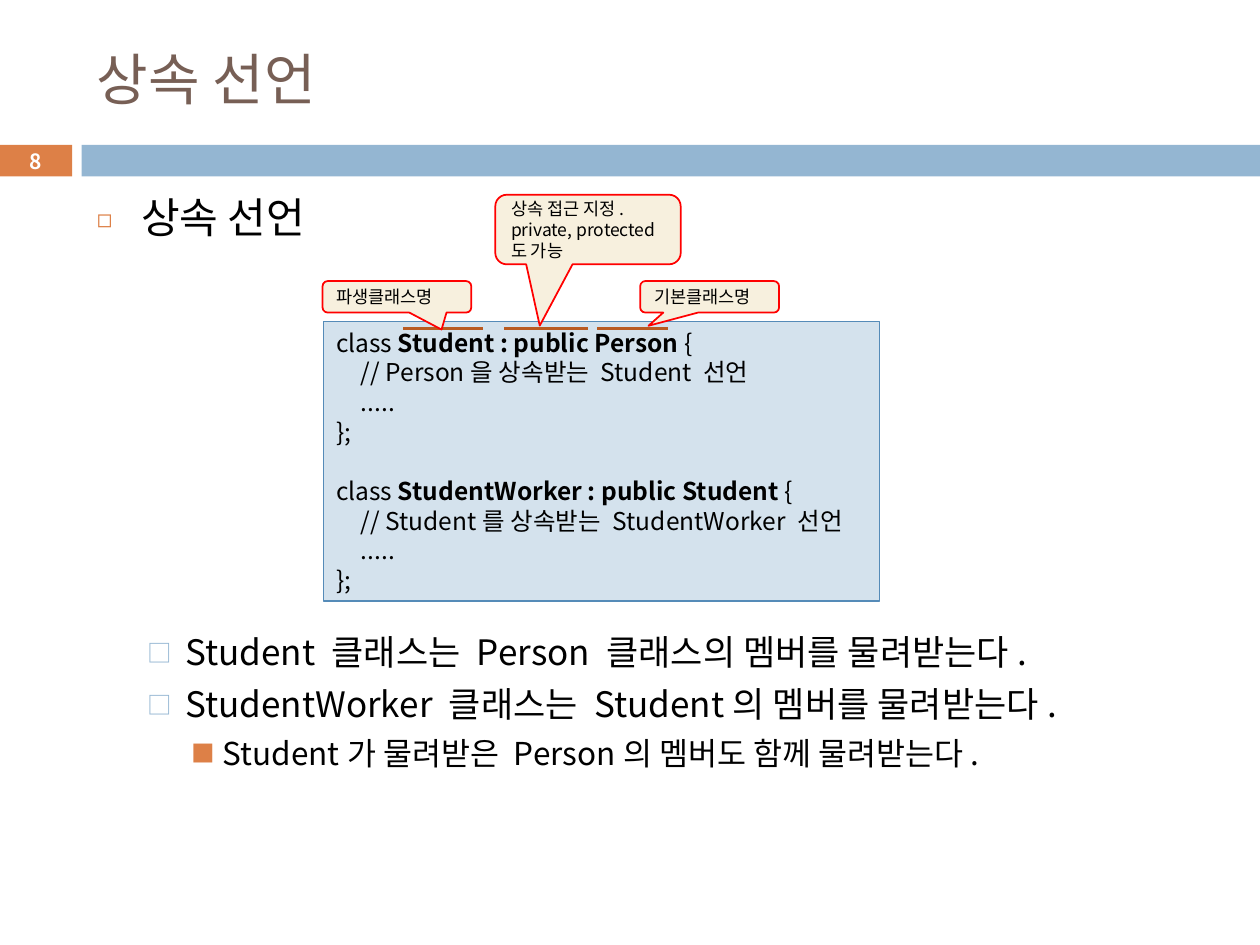
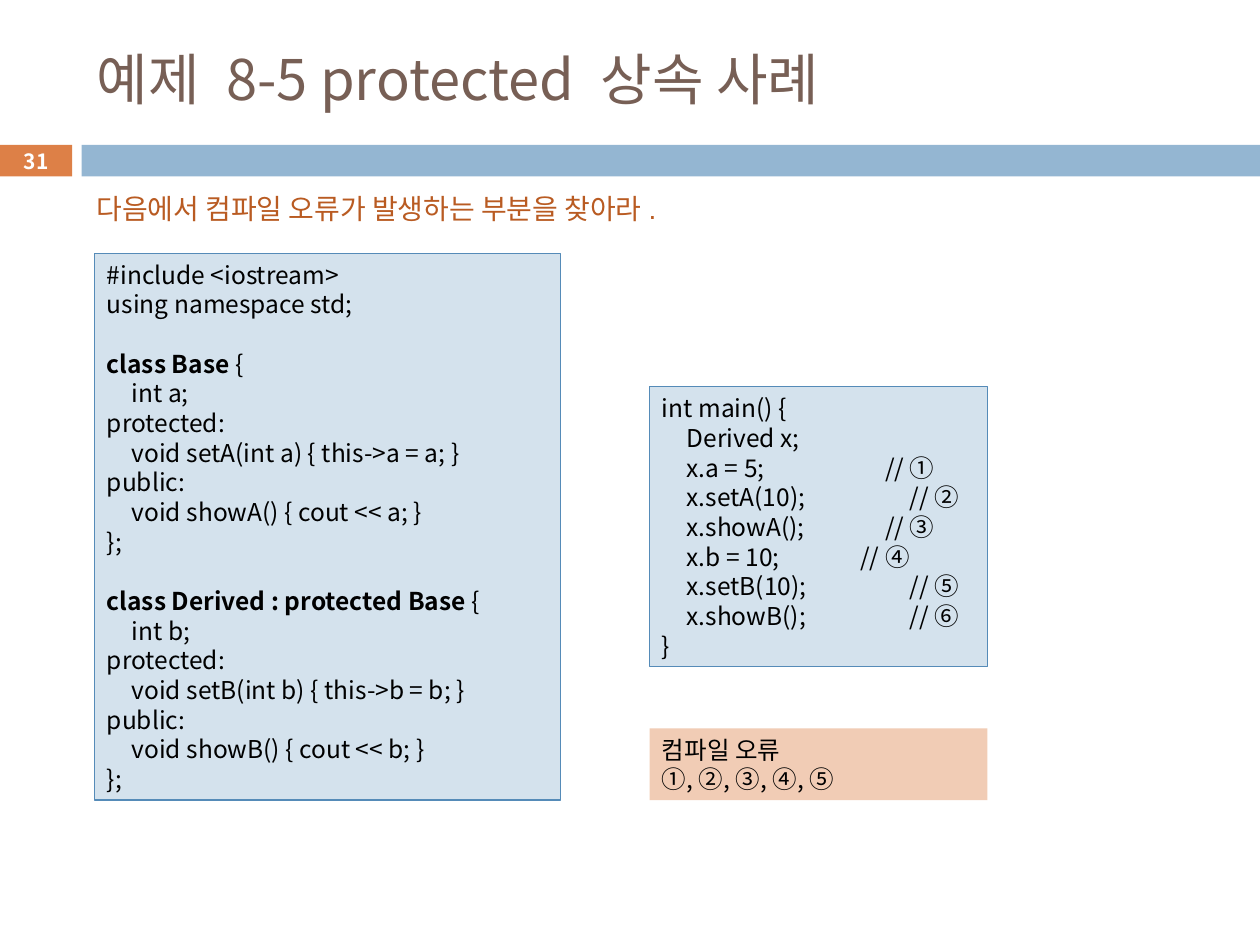
from lxml import etree
from pptx import Presentation
from pptx.dml.color import RGBColor
from pptx.enum import shapes, text
from pptx.oxml.ns import qn
from pptx.util import Pt

FONT = "Noto Sans CJK KR"
LINE = 1.21  # line height per point of text size
BLACK, WHITE, RED = "000000", "FFFFFF", "FF0000"
TITLE, ORANGE, BLUE, RUST = "775F55", "DD8047", "94B6D2", "B95B22"
CODE_FILL, CODE_EDGE, CALLOUT_FILL, ANSWER_FILL = "D4E2ED", "558BB8", "F7F0DE", "F1CCB5"
TAB = 14.17  # width of one code indent
HEADING_AREA = (48.2, 18, 642.2, 53.3)
BODY_AREA = (48.2, 105.8, 642.2, 391)

# Content: *...* is bold, an empty string leaves a line open
DECLARATION = [
    "class *Student : public Person *{",
    "\t// Person을 상속받는 Student 선언",
    "\t.....",
    "};",
    "",
    "class *StudentWorker : public Student *{",
    "\t// Student를 상속받는 StudentWorker 선언",
    "\t.....",
    "};",
]
CLASSES = [
    "#include <iostream>",
    "using namespace std;",
    "",
    "*class Base *{",
    "\tint a;",
    "protected:",
    "\tvoid setA(int a) { this->a = a; }",
    "public:",
    "\tvoid showA() { cout << a; }",
    "};",
    "",
    "*class Derived : protected Base *{",
    "\tint b;",
    "protected:",
    "\tvoid setB(int b) { this->b = b; }",
    "public:",
    "\tvoid showB() { cout << b; }",
    "};",
]
# Statement, and the number of indents before its comment
STATEMENTS = [("x.a = 5;", 9), ("x.setA(10);", 10), ("x.showA();", 9),
              ("x.b = 10;", 8), ("x.setB(10);", 10), ("x.showB();", 10)]
MARKS = "①②③④⑤⑥"
MAIN = (["int main() {", "\tDerived x;"]
        + [f"\t{code}\t// {mark}" for (code, _), mark in zip(STATEMENTS, MARKS)] + ["}"])
MAIN_STOPS = [1, 1] + [stop for _, stop in STATEMENTS] + [1]
ANSWER = ["컴파일 오류", "①, ②, ③, ④, ⑤"]
QUESTION = "다음에서 컴파일 오류가 발생하는 부분을 찾아라."

# Level, text, open lines above
BULLETS = [
    (0, "상속 선언", 0),
    (1, "Student 클래스는 Person 클래스의 멤버를 물려받는다.", 6),
    (1, "StudentWorker 클래스는 Student의 멤버를 물려받는다.", 0),
    (2, "Student가 물려받은 Person의 멤버도 함께 물려받는다.", 0),
]
# Size, left margin, hanging indent, space before, bullet, its colour and percent
LEVELS = [
    (24, 25.2, 25.2, 7, "◻", ORANGE, 60),
    (20, 50.4, 21.6, 5.5, "□", BLUE, 70),
    (18, 72, 18, 5, "■", ORANGE, 75),
]
# Lines, area, tip offset as shares of width and height
CALLOUTS = [
    (["파생클래스명"], (184.3, 160.6, 85, 18), (0.3, 1.04)),
    (["상속 접근 지정.", "private, protected도 가능"], (283, 111.3, 106, 39.8), (-0.26, 1.38)),
    (["기본클래스명"], (365.8, 160.6, 79.4, 18), (-0.44, 0.92)),
]
NAME_BARS = [(230.4, 275.8), (288, 336.2), (341.3, 381.6)]
NAME_BAR_TOP = 187.9


def color(value):
    return RGBColor.from_string(value)


def points(values):
    return [Pt(value) for value in values]


def child(parent, tag, **attributes):
    return etree.SubElement(parent, qn(tag), {k: str(v) for k, v in attributes.items()})


def style(para, size, hue=BLACK, latin=FONT, bold=None):
    para.line_spacing = Pt(round(size * LINE, 2))
    font = para.font
    font.size, font.name, font.bold = Pt(size), latin, bold
    font.color.rgb = color(hue)
    child(font._element, "a:ea", typeface=FONT)


def add_tabs(para, stops):
    tabs = child(para._p.get_or_add_pPr(), "a:tabLst")
    for stop in sorted(set(stops)):
        child(tabs, "a:tab", pos=Pt(stop * TAB), algn="l")


def write(frame, lines, size, hue=BLACK, latin=FONT, bold=None, stops=None,
          align=text.PP_ALIGN.LEFT):
    """Fill a frame; an empty line becomes space before the next one."""
    gap, used = 0, 0
    for index, line in enumerate(lines):
        if not line:
            gap += size * LINE
            continue
        para = frame.paragraphs[0] if used == 0 else frame.add_paragraph()
        used += 1
        if "\t" in line:
            add_tabs(para, [1, stops[index] if stops else 1])
        para.alignment = align
        para.space_before, gap = Pt(round(gap, 2)), 0
        style(para, size, hue, latin, bold)
        for part, words in enumerate(line.split("*")):
            if words:
                span = para.add_run()
                span.text = words
                if part % 2:
                    span.font.bold = True


def add_box(page, area, fill, edge=None, width=0.75, kind=shapes.MSO_SHAPE.RECTANGLE,
            anchor=text.MSO_ANCHOR.TOP):
    box = page.shapes.add_shape(kind, *points(area))
    box.shadow.inherit = False
    box.fill.solid()
    box.fill.fore_color.rgb = color(fill)
    if edge:
        box.line.color.rgb = color(edge)
        box.line.width = Pt(width)
    else:
        box.line.fill.background()
    box.text_frame.word_wrap = True
    box.text_frame.vertical_anchor = anchor
    return box


def add_code(page, area, lines, stops=None):
    write(add_box(page, area, CODE_FILL, CODE_EDGE).text_frame, lines, 14, stops=stops)


def place(holder, area):
    holder.left, holder.top, holder.width, holder.height = points(area)
    holder.text_frame.auto_size = text.MSO_AUTO_SIZE.NONE
    return holder.text_frame


def start_page(deck, layout, title, number):
    """Add a page with title, band and page number."""
    page = deck.slides.add_slide(deck.slide_layouts[layout])
    number_box = add_box(page, (0, 82.8, 41.2, 18), ORANGE, anchor=text.MSO_ANCHOR.MIDDLE)
    write(number_box.text_frame, [str(number)], 12, WHITE, bold=True,
          align=text.PP_ALIGN.CENTER)
    add_box(page, (46.6, 82.8, 673.4, 18), BLUE)
    frame = place(page.shapes.title, HEADING_AREA)
    frame.vertical_anchor = text.MSO_ANCHOR.MIDDLE
    write(frame, [title], 32, TITLE)
    return page


def add_bullets(page):
    frame = place(page.placeholders[1], BODY_AREA)
    frame.vertical_anchor = text.MSO_ANCHOR.TOP
    open_line = LEVELS[0][0] * LINE + LEVELS[0][3]
    for index, (level, words, open_lines) in enumerate(BULLETS):
        size, margin, hang, before, bullet, hue, percent = LEVELS[level]
        para = frame.add_paragraph() if index else frame.paragraphs[0]
        props = para._p.get_or_add_pPr()
        props.set("marL", str(Pt(margin)))
        props.set("indent", str(-Pt(hang)))
        child(child(props, "a:buClr"), "a:srgbClr", val=hue)
        child(props, "a:buSzPct", val=percent * 1000)
        child(props, "a:buFont", typeface=FONT)
        child(props, "a:buChar", char=bullet)
        para.level = level
        para.space_before = Pt(round(before + open_lines * open_line, 2))
        style(para, size)
        para.add_run().text = words


def add_bar(page, left, right):
    bar = page.shapes.add_connector(shapes.MSO_CONNECTOR.STRAIGHT,
                                    *points((left, NAME_BAR_TOP, right, NAME_BAR_TOP)))
    bar.line.color.rgb = color(RUST)
    bar.line.width = Pt(1.5)
    child(bar._element.spPr, "a:effectLst")


def add_callout(page, lines, area, tip):
    box = add_box(page, area, CALLOUT_FILL, RED, 1,
                  shapes.MSO_SHAPE.ROUNDED_RECTANGULAR_CALLOUT, text.MSO_ANCHOR.MIDDLE)
    box.adjustments[0], box.adjustments[1] = tip
    write(box.text_frame, lines, 10)


def build_declaration(deck):
    page = start_page(deck, 1, "상속 선언", 8)
    add_bullets(page)
    add_code(page, (185, 183.6, 317.5, 159.8), DECLARATION)
    for left, right in NAME_BARS:
        add_bar(page, left, right)
    for callout in CALLOUTS:
        add_callout(page, *callout)


def build_example(deck):
    page = start_page(deck, 5, "예제 8-5 protected 상속 사례", 31)
    add_code(page, (54, 144.7, 266.4, 312.5), CLASSES)
    add_code(page, (371.2, 221, 193, 159.8), MAIN, MAIN_STOPS)
    question = page.shapes.add_textbox(*points((48.2, 105.8, 369.4, 26.6)))
    question.text_frame.word_wrap = True
    write(question.text_frame, [QUESTION], 16, RUST, "Arial")
    answer = add_box(page, (371.2, 416.2, 193, 41), ANSWER_FILL)
    write(answer.text_frame, ANSWER, 14)


def main():
    deck = Presentation()
    deck.slide_width, deck.slide_height = Pt(720), Pt(540)
    build_declaration(deck)
    build_example(deck)
    deck.save("out.pptx")


if __name__ == "__main__":
    main()
